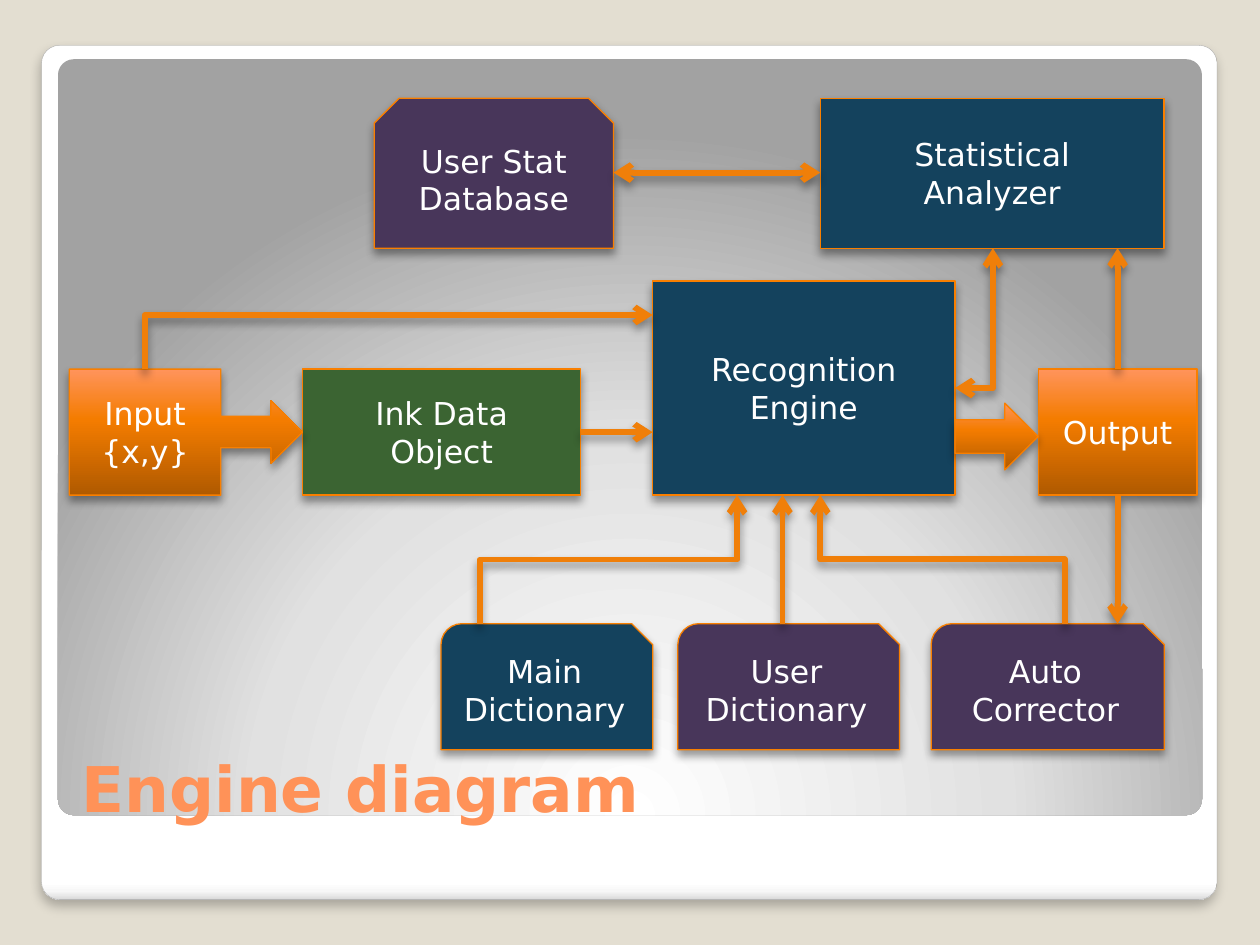
"""Builds the engine diagram slide."""
from dataclasses import dataclass

from pptx import Presentation
from pptx import util as u
from pptx.dml.color import RGBColor
from pptx.enum import shapes, text
from pptx.oxml import parse_xml
from pptx.oxml.ns import nsdecls, qn


@dataclass(frozen=True)
class Theme:
    """Holds the colours, gradients, shadows and type of the slide."""
    font: str = "DejaVu Sans"
    title_size: int = 36
    label_size: int = 18
    backdrop: str = "E3DED1"
    title: str = "FF9258"
    label: str = "FFFFFF"
    navy: str = "14425D"
    green: str = "3B6432"
    purple: str = "48365A"
    edge: str = "F97F00"
    arrow: str = "F07F09"
    card_edge: str = "A4A4A4"
    edge_width: float = 0.75
    arrow_width: float = 3.35
    card_edge_width: float = 0.16
    linear: str = '<a:lin ang="5400000" scaled="0"/>'
    upward: str = '<a:lin ang="16200000" scaled="0"/>'
    radial: str = ('<a:path path="circle"><a:fillToRect l="50000" t="175000" '
                   'r="50000" b="-75000"/></a:path>')
    orange: tuple = ((0, "B05A00"), (60, "F47C00"), (100, "FF945C"))
    card: tuple = ((0, "FFFFFF"), (98, "FFFFFF"), (99, "F7F7F7"), (100, "DADADA"))
    panel: tuple = ((0, "FFFFFF"), (55, "E1E1E1"), (100, "A2A2A2"))
    soft_shadow: tuple = (25, 6, 4)
    shadow: tuple = (40, 5.2, 3)


class Diagram:
    """Draws styled elements on the current slide."""

    def __init__(self, page, theme):
        """Keeps the slide and its style."""
        self.page, self.theme = page, theme
        fill = page.background.fill
        fill.solid()
        fill.fore_color.rgb = RGBColor.from_string(theme.backdrop)

    def paint(self, shape, fill, direction):
        """Fills a shape with a colour or with gradient stops."""
        if isinstance(fill, str):
            shape.fill.solid()
            shape.fill.fore_color.rgb = RGBColor.from_string(fill)
            return
        stops = "".join(f'<a:gs pos="{spot * 1000}"><a:srgbClr val="{color}"/></a:gs>'
                        for spot, color in fill)
        gradient = parse_xml(f'<a:gradFill {nsdecls("a")} rotWithShape="1">'
                             f'<a:gsLst>{stops}</a:gsLst>{direction}</a:gradFill>')
        shape._element.spPr.find(qn("a:prstGeom")).addnext(gradient)

    def outline(self, item, color, width):
        """Sets the colour and width of a line."""
        item.line.color.rgb = RGBColor.from_string(color)
        item.line.width = u.Pt(width)

    def cast(self, item, shadow):
        """Adds a downward shadow, or none."""
        effects = parse_xml(f'<a:effectLst {nsdecls("a")}/>')
        if shadow:
            alpha, blur, distance = shadow
            effects.append(parse_xml(
                f'<a:outerShdw {nsdecls("a")} blurRad="{u.Pt(blur)}" '
                f'dist="{u.Pt(distance)}" dir="5400000" rotWithShape="0">'
                f'<a:srgbClr val="000000"><a:alpha val="{alpha * 1000}"/>'
                '</a:srgbClr></a:outerShdw>'))
        item._element.spPr.append(effects)

    def label(self, frame, lines, size, color, bold=False, align=None):
        """Adds one paragraph per line."""
        frame.word_wrap = True
        for number, line in enumerate(lines):
            para = frame.add_paragraph() if number else frame.paragraphs[0]
            para.alignment = align
            span = para.add_run()
            span.text = line
            span.font.name, span.font.size, span.font.bold = self.theme.font, u.Pt(size), bold
            span.font.color.rgb = RGBColor.from_string(color)

    def plate(self, place, fill, direction, edge=None, shadow=None):
        """Draws a rounded background plate."""
        shape = self.page.shapes.add_shape(
            shapes.MSO_SHAPE.ROUNDED_RECTANGLE, *map(u.Inches, place))
        shape.adjustments[0] = 0.021
        self.paint(shape, fill, direction)
        if edge:
            self.outline(shape, edge, self.theme.card_edge_width)
        else:
            shape.line.fill.background()
        self.cast(shape, shadow)

    def title(self, place, words):
        """Adds the slide title."""
        box = self.page.shapes.add_textbox(*map(u.Inches, place))
        box.text_frame.vertical_anchor = text.MSO_ANCHOR.BOTTOM
        self.label(box.text_frame, [words], self.theme.title_size, self.theme.title, True)

    def node(self, kind, place, fill, *lines):
        """Draws a diagram block with a centred label."""
        shape = self.page.shapes.add_shape(kind, *map(u.Inches, place))
        self.paint(shape, fill, self.theme.upward)
        self.outline(shape, self.theme.edge, self.theme.edge_width)
        self.cast(shape, self.theme.shadow)
        shape.text_frame.vertical_anchor = text.MSO_ANCHOR.MIDDLE
        self.label(shape.text_frame, lines, self.theme.label_size, self.theme.label,
                   align=text.PP_ALIGN.CENTER)

    def finish(self, link, both):
        """Styles a connector and adds its arrowheads."""
        self.outline(link, self.theme.arrow, self.theme.arrow_width)
        for end in ("headEnd", "tailEnd") if both else ("tailEnd",):
            link.line._get_or_add_ln().append(
                parse_xml(f'<a:{end} {nsdecls("a")} type="arrow"/>'))
        self.cast(link, self.theme.shadow)

    def arrow(self, start, end, both=False):
        """Draws a straight arrow."""
        link = self.page.shapes.add_connector(
            shapes.MSO_CONNECTOR.STRAIGHT, *map(u.Inches, start + end))
        self.finish(link, both)

    def elbow(self, start, end, corners, both=False):
        """Draws an arrow that leaves vertically and turns at its corners."""
        (x1, y1), (x2, y2) = start, end
        across, along = abs(x2 - x1) / 2, abs(y2 - y1) / 2
        x, y = (x1 + x2) / 2, (y1 + y2) / 2
        link = self.page.shapes.add_connector(
            shapes.MSO_CONNECTOR.ELBOW,
            *map(u.Inches, (x - along, y - across, x + along, y + across)))
        properties = link._element.spPr
        properties.find(qn("a:prstGeom")).set("prst", f"bentConnector{corners + 1}")
        frame = properties.find(qn("a:xfrm"))
        frame.set("rot", "5400000" if y2 > y1 else "16200000")
        if (x2 > x1) == (y2 > y1):
            frame.set("flipV", "1")
        self.finish(link, both)


deck = Presentation()
deck.slide_width, deck.slide_height = u.Inches(10), u.Inches(7.5)
theme = Theme()
diagram = Diagram(deck.slides.add_slide(deck.slide_layouts[6]), theme)
kinds = shapes.MSO_SHAPE

diagram.plate((0.33, 0.36, 9.33, 6.78), theme.card, theme.linear,
              theme.card_edge, theme.soft_shadow)
diagram.plate((0.46, 0.47, 9.08, 6), theme.panel, theme.radial)
diagram.title((0.55, 5.45, 8.95, 1.15), "Engine diagram")

top, middle, engine_bottom, bottom = 0.78, 2.93, 3.93, 4.95
analyzer_bottom, output_x = 1.97, 8.87

diagram.node(kinds.RECTANGLE, (5.18, 2.23, 2.4, 1.7), theme.navy, "Recognition", "Engine")
diagram.node(kinds.RECTANGLE, (2.4, middle, 2.21, 1), theme.green, "Ink Data", "Object")
diagram.node(kinds.RIGHT_ARROW_CALLOUT, (0.55, middle, 1.85, 1), theme.orange,
             "Input", "{x,y}")
for left, width, fill, *words in (
        (5.38, 1.76, theme.purple, "User", "Dictionary"),
        (3.5, 1.68, theme.navy, "Main", "Dictionary"),
        (7.39, 1.85, theme.purple, "Auto", "Corrector")):
    diagram.node(kinds.SNIP_ROUND_RECTANGLE, (left, bottom, width, 1), fill, *words)
diagram.node(kinds.RECTANGLE, (6.51, top, 2.73, 1.19), theme.navy, "Statistical", "Analyzer")
diagram.node(kinds.RECTANGLE, (8.24, middle, 1.26, 1), theme.orange, "Output")

diagram.elbow((7.88, analyzer_bottom), (7.58, 3.08), 1, both=True)
diagram.arrow((output_x, middle), (output_x, analyzer_bottom))
diagram.arrow((4.61, 3.43), (5.18, 3.43))
diagram.elbow((1.15, middle), (5.18, 2.5), 1)
diagram.node(kinds.RIGHT_ARROW, (7.58, 3.2, 0.66, 0.53), theme.orange)
diagram.arrow((output_x, engine_bottom), (output_x, bottom))
diagram.arrow((6.21, bottom), (6.21, engine_bottom))
for start_x, end_x in ((3.81, 5.85), (8.45, 6.51)):
    diagram.elbow((start_x, bottom), (end_x, engine_bottom), 2)
diagram.node(kinds.SNIP_2_SAME_RECTANGLE, (2.97, top, 1.9, 1.19), theme.purple,
             "User Stat", "Database")
diagram.arrow((4.87, 1.37), (6.51, 1.37), both=True)

deck.save("out.pptx")
